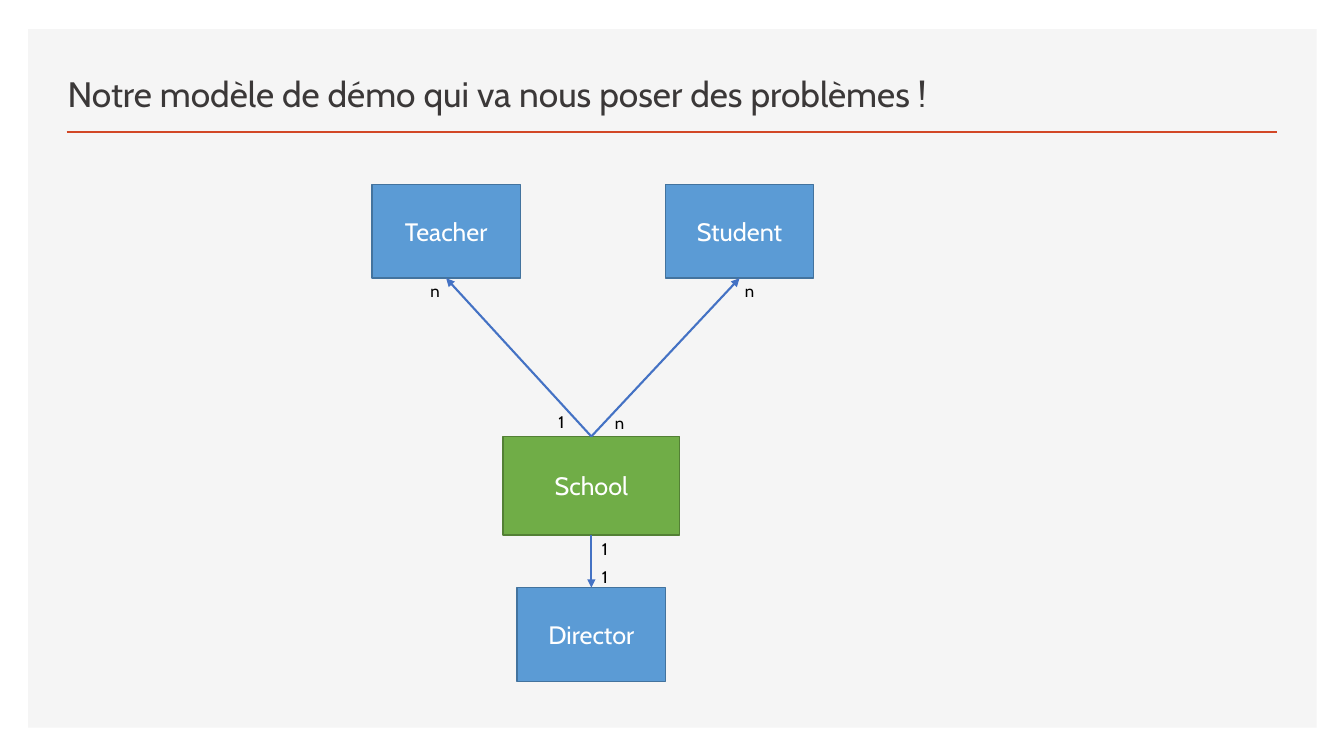
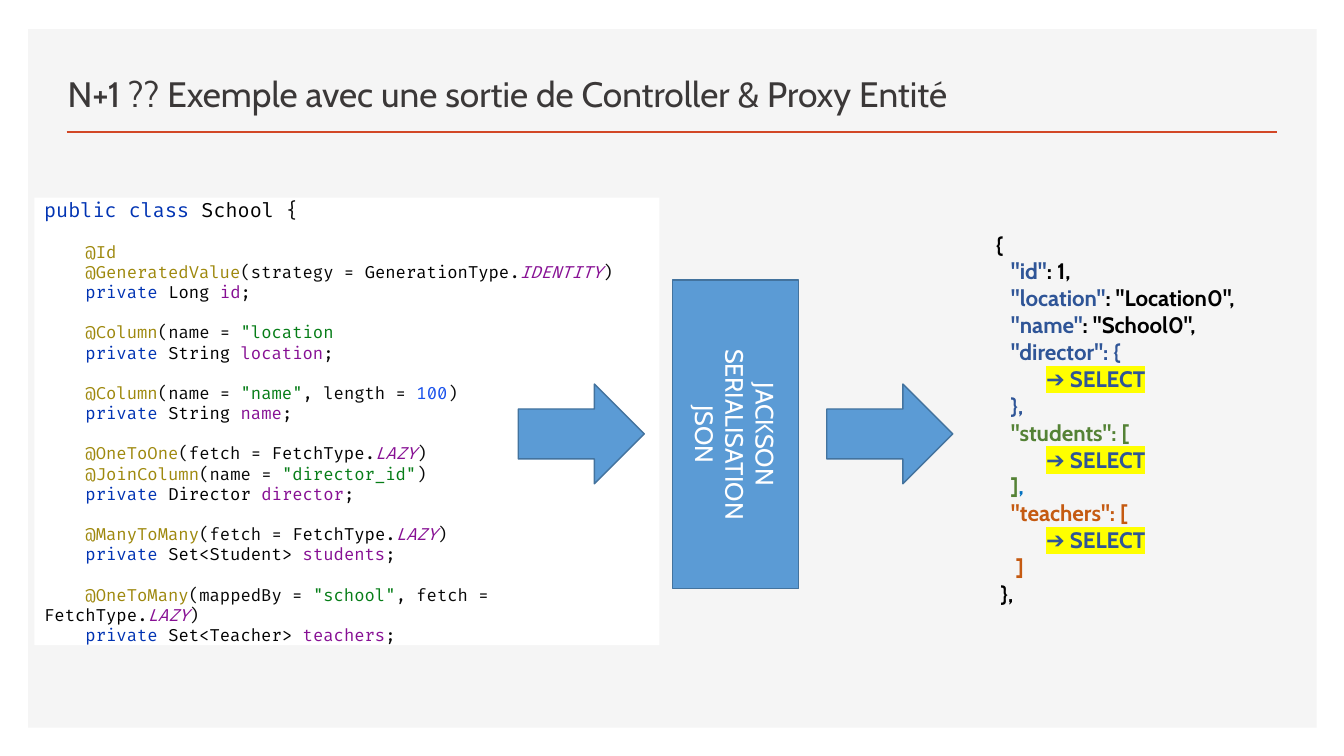
from lxml import etree
from pptx import Presentation, util as u
from pptx.dml.color import RGBColor
from pptx.enum import shapes, text
from pptx.oxml.ns import qn

Inches, Pt = u.Inches, u.Pt


class Theme:
    font, code_font = "Cabin", "Fira Code"
    title_size, box_size, json_size = 25.2, 18, 16
    label_size, code_size, class_size = 12, 12, 14
    panel, rule, white = "F5F5F5", "D24726", "FFFFFF"
    blue, blue_edge = "5B9BD5", "43739E"
    green, green_edge = "70AD47", "538035"
    arrow, highlight = "4472C4", "FFFF00"
    inks = {
        "title": "3B3838", "white": "FFFFFF", "black": "000000",
        # Java code
        "plain": "080808", "keyword": "0033B3", "type": "000000",
        "annotation": "9E880D", "constant": "871094", "field": "871094",
        "string": "067D17", "number": "1750EB",
        # JSON output
        "key": "2F5597", "comma": "0070C0", "students": "548235",
        "teachers": "C55A11", "select": "2F5597",
    }


def write(frame, blocks, size, ink="black", font=Theme.font, bold=False,
          align=text.PP_ALIGN.LEFT, gap=0):
    """Write blocks of lines; a line is a string or a list of (text, ink) runs."""
    frame.word_wrap = True
    paragraph = None
    for block in blocks:
        for number, line in enumerate(block):
            starts_block = paragraph is not None and number == 0
            paragraph = frame.add_paragraph() if paragraph else frame.paragraphs[0]
            paragraph.alignment = align
            paragraph.space_before = Pt(gap if starts_block else 0)
            for words, style in [(line, ink)] if isinstance(line, str) else line:
                run = paragraph.add_run()
                run.text = words
                run.font.size, run.font.name, run.font.bold = Pt(size), font, bold
                run.font.italic = style == "constant"
                run.font.color.rgb = RGBColor.from_string(Theme.inks[style])
                if style == "select":
                    fill = run._r.get_or_add_rPr().find(qn("a:solidFill"))
                    mark = etree.Element(qn("a:highlight"))
                    etree.SubElement(mark, qn("a:srgbClr"), val=Theme.highlight)
                    fill.addnext(mark)


def add_box(slide, left, top, width, height, fill=Theme.blue, edge=Theme.blue_edge,
            kind=shapes.MSO_SHAPE.RECTANGLE):
    shape = slide.shapes.add_shape(
        kind, Inches(left), Inches(top), Inches(width), Inches(height))
    shape.shadow.inherit = False
    shape.fill.solid()
    shape.fill.fore_color.rgb = RGBColor.from_string(fill)
    if edge:
        shape.line.color.rgb = RGBColor.from_string(edge)
        shape.line.width = Pt(1)
    else:
        shape.line.fill.background()
    shape.text_frame.vertical_anchor = text.MSO_ANCHOR.MIDDLE
    return shape


presentation = Presentation()
presentation.slide_width, presentation.slide_height = Inches(13.33), Inches(7.5)
layout = presentation.slide_layouts[5]

# Shared title place
title = layout.placeholders[0]
title.left, title.top = Inches(0.57), Inches(0.49)
title.width, title.height = Inches(9.63), Inches(0.7)
title.text_frame.vertical_anchor = text.MSO_ANCHOR.BOTTOM

model_slide, output_slide = slides = [
    presentation.slides.add_slide(layout) for _ in range(2)]
titles = ["Notre modèle de démo qui va nous poser des problèmes !",
          "N+1 ?? Exemple avec une sortie de Controller & Proxy Entité"]
for slide, heading in zip(slides, titles):
    write(slide.shapes.title.text_frame, [[heading]], Theme.title_size, "title")

# Shared panel and title rule, moved to the layout
panel = add_box(model_slide, 0.28, 0.29, 12.78, 6.93, Theme.panel, None)
rule = model_slide.shapes.add_connector(
    shapes.MSO_CONNECTOR.STRAIGHT, Inches(0.66), Inches(1.31), Inches(12.67), Inches(1.31))
rule.line.color.rgb = RGBColor.from_string(Theme.rule)
rule.line.width = Pt(2)
etree.SubElement(rule.element.spPr, qn("a:effectLst"))
for position, part in enumerate([panel, rule], start=2):
    layout.shapes.element.insert(position, part.element)

# Model: entities
entities = {}
for name, left, top in [("Teacher", 3.69, 1.83), ("Student", 6.6, 1.83),
                        ("Director", 5.13, 5.83)]:
    entities[name] = add_box(model_slide, left, top, 1.47, 0.93)
entities["School"] = add_box(
    model_slide, 4.99, 4.33, 1.75, 0.98, Theme.green, Theme.green_edge)
for name, shape in entities.items():
    write(shape.text_frame, [[name]], Theme.box_size, "white",
          align=text.PP_ALIGN.CENTER)

# Model: relations from the school (sites: 0 is top, 2 is bottom)
for name, start_site, end_site in [("Director", 2, 0), ("Student", 0, 2),
                                   ("Teacher", 0, 2)]:
    relation = model_slide.shapes.add_connector(
        shapes.MSO_CONNECTOR.STRAIGHT, 0, 0, 0, 0)
    relation.begin_connect(entities["School"], start_site)
    relation.end_connect(entities[name], end_site)
    relation.line.color.rgb = RGBColor.from_string(Theme.arrow)
    relation.line.width = Pt(1.5)
    etree.SubElement(relation.line._get_or_add_ln(), qn("a:tailEnd"), type="triangle")
    etree.SubElement(relation.element.spPr, qn("a:effectLst"))

# Model: cardinalities
for label, left, top in [("1", 5.87, 5.57), ("1", 5.87, 5.3), ("n", 6, 4.05),
                         ("1", 5.44, 4.04), ("n", 7.29, 2.74), ("n", 4.17, 2.74)]:
    label_box = model_slide.shapes.add_textbox(
        Inches(left), Inches(top), Inches(0.28), Inches(0.3))
    write(label_box.text_frame, [[label]], Theme.label_size)

# Output: entity code, one block per field
lazy = [("FetchType", "type"), (".", "plain"), ("LAZY", "constant"), (")", "plain")]
fields = [
    ([[("    @Id", "annotation")],
      [("    @GeneratedValue", "annotation"), ("(strategy = ", "plain"),
       ("GenerationType", "type"), (".", "plain"), ("IDENTITY", "constant"),
       (")", "plain")]],
     "Long ", "id"),
    ([[("    @Column", "annotation"), ("(name = ", "plain"), ('"location', "string")]],
     "String ", "location"),
    ([[("    @Column", "annotation"), ("(name = ", "plain"), ('"name"', "string"),
       (", length = ", "plain"), ("100", "number"), (")", "plain")]],
     "String ", "name"),
    ([[("    @OneToOne", "annotation"), ("(fetch = ", "plain"), *lazy],
      [("    @JoinColumn", "annotation"), ("(name = ", "plain"),
       ('"director_id"', "string"), (")", "plain")]],
     "Director ", "director"),
    ([[("    @ManyToMany", "annotation"), ("(fetch = ", "plain"), *lazy]],
     "Set<Student> ", "students"),
    ([[("    @OneToMany", "annotation"), ("(mappedBy = ", "plain"),
       ('"school"', "string"), (", fetch = ", "plain"), *lazy]],
     "Set<Teacher> ", "teachers"),
]
code = [[[("public class ", "keyword"), ("School ", "type"), ("{", "plain")]]]
for annotations, kind, name in fields:
    code.append(annotations + [[("    private ", "keyword"), (kind, "type"),
                                (name, "field"), (";", "plain")]])
code_box = add_box(output_slide, 0.34, 1.96, 6.2, 4.44, Theme.white, None)
code_box.text_frame.margin_top = code_box.text_frame.margin_bottom = 0
write(code_box.text_frame, code, Theme.code_size, font=Theme.code_font, gap=14.4)
for run in code_box.text_frame.paragraphs[0].runs:
    run.font.size = Pt(Theme.class_size)

# Output: serialisation step between two arrows
serialiser = add_box(output_slide, 6.67, 2.78, 1.25, 3.06)
serialiser.text_frame._txBody.bodyPr.set("vert", "vert")
write(serialiser.text_frame, [["JACKSON", "SERIALISATION", "JSON"]], Theme.box_size,
      "white", align=text.PP_ALIGN.CENTER)
for left in (5.14, 8.2):
    add_box(output_slide, left, 3.81, 1.25, 0.99, kind=shapes.MSO_SHAPE.RIGHT_ARROW)

# Output: resulting JSON
select = [("           ", "key"), ("➔ SELECT", "select")]
json_lines = [
    " {",
    [('    "id"', "key"), (": 1,", "black")],
    [('    "location"', "key"), (': "Location0",', "black")],
    [('    "name"', "key"), (': "School0",', "black")],
    [('    "director": {', "key")],
    select,
    [("    },", "key")],
    [('    "students": [', "students")],
    select,
    [("    ]", "students"), (",", "comma")],
    [('    "teachers": [', "teachers")],
    select,
    [("     ]", "teachers")],
    "  },",
]
json_box = output_slide.shapes.add_textbox(
    Inches(9.73), Inches(2.24), Inches(3.54), Inches(3.87))
write(json_box.text_frame, [json_lines], Theme.json_size, bold=True)

presentation.save("out.pptx")
